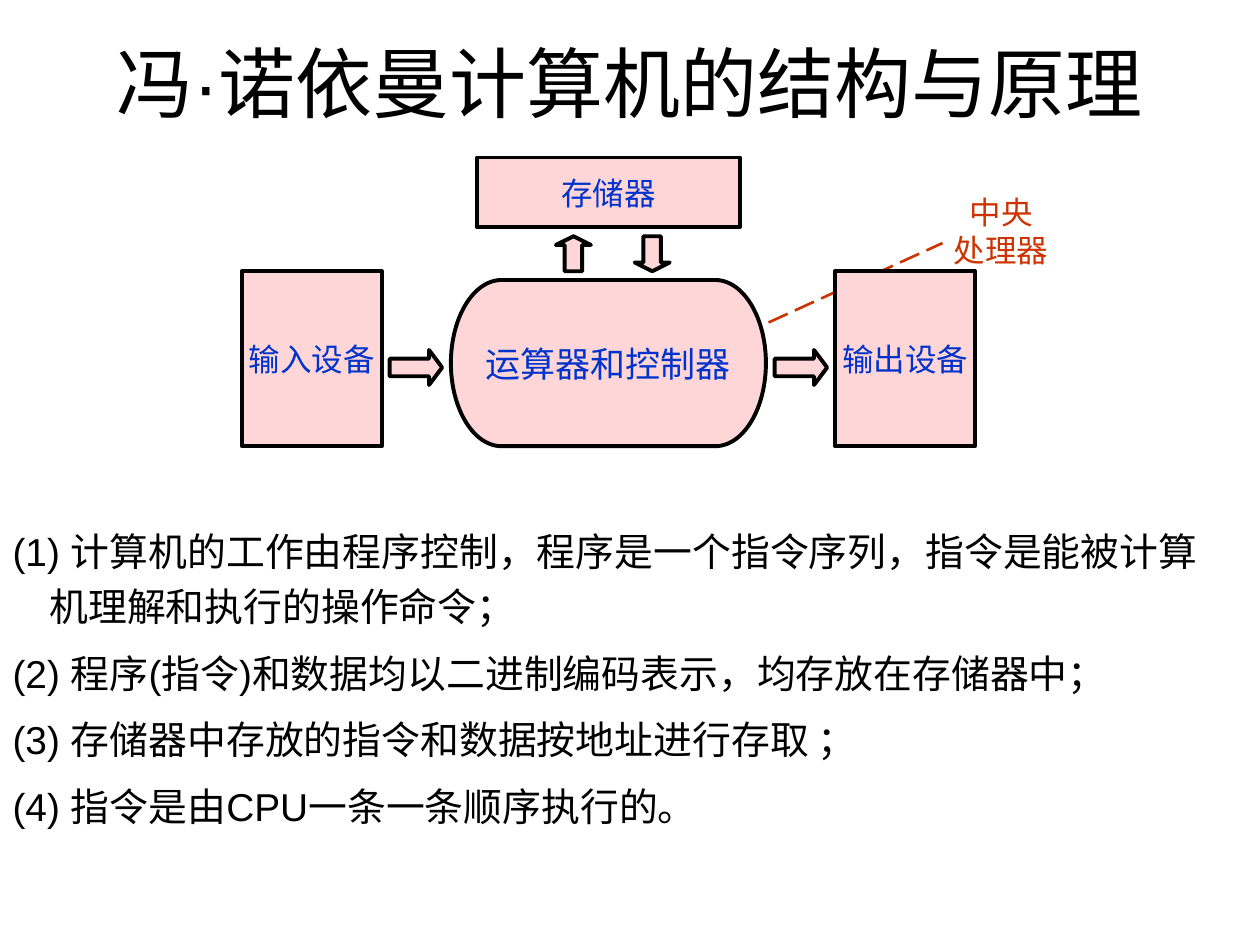
from lxml.etree import SubElement
from pptx import Presentation
from pptx.dml.color import RGBColor
from pptx.enum.dml import MSO_LINE
from pptx.enum.shapes import MSO_CONNECTOR, MSO_SHAPE
from pptx.enum.text import MSO_ANCHOR, MSO_AUTO_SIZE, PP_ALIGN
from pptx.oxml.ns import qn
from pptx.util import Pt

BLACK = RGBColor(0x00, 0x00, 0x00)
PINK = RGBColor(0xFE, 0xD6, 0xD7)
BLUE = RGBColor(0x00, 0x33, 0xCC)
RED = RGBColor(0xCC, 0x33, 0x00)

PRINCIPLES = [
    "(1) 计算机的工作由程序控制，程序是一个指令序列，指令是能被计算机理解和执行的操作命令；",
    "(2) 程序(指令)和数据均以二进制编码表示，均存放在存储器中；",
    "(3) 存储器中存放的指令和数据按地址进行存取 ；",
    "(4) 指令是由CPU一条一条顺序执行的。",
]


def place(shape, box):
    shape.left, shape.top, shape.width, shape.height = [Pt(v) for v in box]


def add_span(para, text, size, font, color):
    span = para.add_run()
    span.text = text
    span.font.size = Pt(size)
    span.font.name = font
    span.font.color.rgb = color


def add_title(page, box):
    title = page.shapes.title
    place(title, box)
    frame = title.text_frame
    frame.auto_size = MSO_AUTO_SIZE.NONE
    frame.vertical_anchor = MSO_ANCHOR.MIDDLE
    para = frame.paragraphs[0]
    para.alignment = PP_ALIGN.CENTER
    add_span(para, "冯·诺依曼计算机的结构与原理", 44, "Arial", BLACK)


def add_principles(page, box):
    body = page.placeholders[1]
    place(body, box)
    frame = body.text_frame
    frame.auto_size = MSO_AUTO_SIZE.NONE
    for index, text in enumerate(PRINCIPLES):
        para = frame.add_paragraph() if index else frame.paragraphs[0]
        para.line_spacing = 1.2
        para.space_before = Pt(6 if index else 0)
        # Hanging indent without a bullet
        properties = para._p.get_or_add_pPr()
        properties.set("marL", str(Pt(21)))
        properties.set("indent", str(Pt(-21)))
        SubElement(properties, qn("a:buNone"))
        add_span(para, text, 22.2, "Arial", BLACK)


def add_processor_label(page, box):
    left, top, width, height = box
    # Dashed leader from the label down to the processor
    leader = page.shapes.add_connector(
        MSO_CONNECTOR.STRAIGHT,
        Pt(left - 93.6), Pt(top + 68.4), Pt(left + 5.8), Pt(top + 23))
    leader.line.color.rgb = RED
    leader.line.width = Pt(1.5)
    leader.line.dash_style = MSO_LINE.LONG_DASH
    SubElement(leader._element.spPr, qn("a:effectLst"))

    label = page.shapes.add_textbox(Pt(left), Pt(top), Pt(width), Pt(height))
    frame = label.text_frame
    frame.word_wrap = True
    for index, text in enumerate(["中央", "处理器"]):
        para = frame.add_paragraph() if index else frame.paragraphs[0]
        para.alignment = PP_ALIGN.CENTER
        para.line_spacing = 0.5
        para.space_before = Pt(11.2 if index else 0)
        add_span(para, text, 18, "Karla", RED)


def add_block(group, kind, box):
    block = group.shapes.add_shape(kind, *[Pt(v) for v in box])
    block.shadow.inherit = False
    block.fill.solid()
    block.fill.fore_color.rgb = PINK
    block.line.color.rgb = BLACK
    block.line.width = Pt(2.25)
    return block


def add_machine(page, box):
    left, top, width, height = box
    middle = left + width / 2
    bottom = top + height
    group = page.shapes.add_group_shape()

    # Units: kind, text, size, font, box
    device_width, device_height = 80, 100
    device_top = bottom - device_height
    units = [
        (MSO_SHAPE.FLOWCHART_TERMINATOR, "运算器和控制器", 20, "Arial",
         (middle - 90, bottom - 95, 180, 95)),
        (MSO_SHAPE.RECTANGLE, "输入设备", 18, "Times New Roman",
         (left, device_top, device_width, device_height)),
        (MSO_SHAPE.RECTANGLE, "输出设备", 18, "Times New Roman",
         (left + width - device_width, device_top, device_width, device_height)),
        (MSO_SHAPE.RECTANGLE, "存储器", 18, "Times New Roman",
         (middle - 75, top, 150, 40)),
    ]
    for kind, text, size, font, unit_box in units:
        frame = add_block(group, kind, unit_box).text_frame
        frame.word_wrap = False
        frame.vertical_anchor = MSO_ANCHOR.MIDDLE
        para = frame.paragraphs[0]
        para.alignment = PP_ALIGN.CENTER
        add_span(para, text, size, font, BLUE)

    # Data flow: kind, head length, offset of the centre, top, width
    flows = [
        (MSO_SHAPE.RIGHT_ARROW, 0.375, 110, 110, 30),
        (MSO_SHAPE.RIGHT_ARROW, 0.375, -110, 110, 30),
        (MSO_SHAPE.UP_ARROW, 0.25, -20, 45, 20),
        (MSO_SHAPE.DOWN_ARROW, 0.25, 25, 45, 20),
    ]
    for kind, head, offset, drop, length in flows:
        arrow = add_block(
            group, kind, (middle + offset - length / 2, top + drop, length, 20))
        arrow.adjustments[0] = 0.5
        arrow.adjustments[1] = head


def main():
    deck = Presentation()
    deck.slide_width, deck.slide_height = Pt(720), Pt(540)
    page = deck.slides.add_slide(deck.slide_layouts[1])
    add_title(page, (36, 21.6, 648, 49.7))
    add_principles(page, (0, 292.3, 707, 212.4))
    add_processor_label(page, (532.8, 115.9, 78.5, 39.6))
    add_machine(page, (138.2, 90, 419, 165))
    deck.save("out.pptx")


if __name__ == "__main__":
    main()
